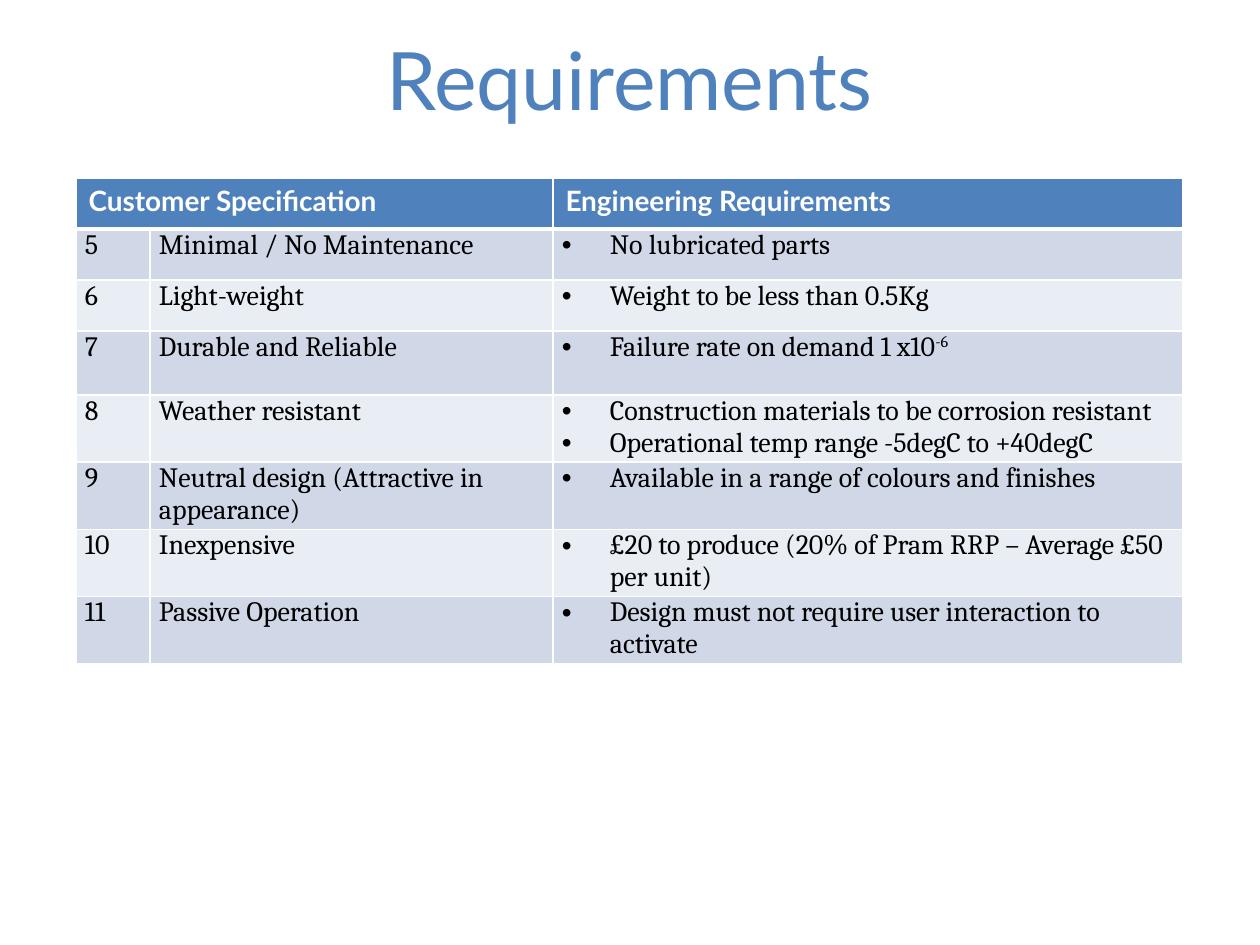
from lxml import etree
from pptx import Presentation
from pptx.dml.color import RGBColor
from pptx.enum.text import MSO_ANCHOR, PP_ALIGN
from pptx.oxml.ns import qn
from pptx.util import Pt

CENTER, LEFT = PP_ALIGN.CENTER, PP_ALIGN.LEFT
TOP, BOTTOM = MSO_ANCHOR.TOP, MSO_ANCHOR.BOTTOM

# Content: number, customer need, engineering points ("^" starts a superscript)
TITLE = "Requirements"
HEADS = ["Customer Specification", "Engineering Requirements"]
ROWS = [
    ("5", "Minimal / No Maintenance", ["No lubricated parts"]),
    ("6", "Light-weight", ["Weight to be less than 0.5Kg"]),
    ("7", "Durable and Reliable", ["Failure rate on demand 1 x10^-6"]),
    ("8", "Weather resistant",
     ["Construction materials to be corrosion resistant",
      "Operational temp range -5degC to +40degC"]),
    ("9", "Neutral design (Attractive in appearance)",
     ["Available in a range of colours and finishes"]),
    ("10", "Inexpensive",
     ["£20 to produce (20% of Pram RRP – Average £50 per unit)"]),
    ("11", "Passive Operation",
     ["Design must not require user interaction to activate"]),
]
HEX = {"blue": "4F81BD", "white": "FFFFFF", "black": "000000",
       "dark": "D0D8E8", "light": "E9EDF4"}

# Layout in px
SCALE = 914400 / 126
COLS = [74, 403, 630]
SHORT, TALL = 51, 64
HIGH = [SHORT] * 3 + [TALL] * 5
LEFT_X, TABLE_Y = 76, 178
INDENT = 48


def px(n):
    return round(n * SCALE)


def color(name):
    return RGBColor.from_string(HEX[name])


def write(frame, lines, font="Cambria", size=16, ink="black", bold=False,
          align=LEFT, bullet=False):
    for i, line in enumerate(lines):
        para = frame.paragraphs[0] if i == 0 else frame.add_paragraph()
        para.alignment = align
        if bullet:
            props = para._p.get_or_add_pPr()
            props.set("marL", str(px(INDENT)))
            props.set("indent", str(-px(INDENT)))
            etree.SubElement(props, qn("a:buFont"), typeface="Arial")
            etree.SubElement(props, qn("a:buChar"), char="•")
        for j, part in enumerate(line.split("^")):
            run = para.add_run()
            run.text = part
            run.font.name, run.font.size = font, Pt(size)
            run.font.bold = bold
            run.font.color.rgb = color(ink)
            if j:
                run._r.get_or_add_rPr().set("baseline", "30000")


def edge(cell, top=1, bottom=1):
    props = cell._tc.get_or_add_tcPr()
    for tag, width in (("lnL", 1), ("lnR", 1), ("lnT", top), ("lnB", bottom)):
        line = etree.SubElement(props, qn("a:" + tag), w=str(Pt(width)))
        fill = etree.SubElement(line, qn("a:solidFill"))
        etree.SubElement(fill, qn("a:srgbClr"), val=HEX["white"])


def paint(cell, name):
    cell.fill.solid()
    cell.fill.fore_color.rgb = color(name)


deck = Presentation()
deck.slide_width, deck.slide_height = px(1260), px(945)
slide = deck.slides.add_slide(deck.slide_layouts[6])

# Title
box = slide.shapes.add_textbox(px(LEFT_X), px(15), px(sum(COLS)), px(118))
box.text_frame.word_wrap = True
box.text_frame.vertical_anchor = BOTTOM
write(box.text_frame, [TITLE], font="Lato", size=46, ink="blue", align=CENTER)

# Table grid
table = slide.shapes.add_table(len(HIGH), len(COLS), px(LEFT_X), px(TABLE_Y),
                               px(sum(COLS)), px(sum(HIGH))).table
for col, width in zip(table.columns, COLS):
    col.width = px(width)
for row, height in zip(table.rows, HIGH):
    row.height = px(height)

# Header row
table.cell(0, 0).merge(table.cell(0, 1))
for c in range(len(COLS)):
    edge(table.cell(0, c), bottom=3)
    paint(table.cell(0, c), "blue")
for c, head in zip((0, 2), HEADS):
    write(table.cell(0, c).text_frame, [head], font="Lato", ink="white",
          bold=True)

# Requirement rows
for r, (num, need, points) in enumerate(ROWS, 1):
    for c, lines in enumerate(([num], [need], points)):
        cell = table.cell(r, c)
        edge(cell, top=3 if r == 1 else 1)
        paint(cell, "dark" if r % 2 else "light")
        cell.margin_left = cell.margin_right = px(9)
        cell.margin_top = cell.margin_bottom = 0
        cell.vertical_anchor = TOP
        write(cell.text_frame, lines, bullet=c == 2)

deck.save("out.pptx")
